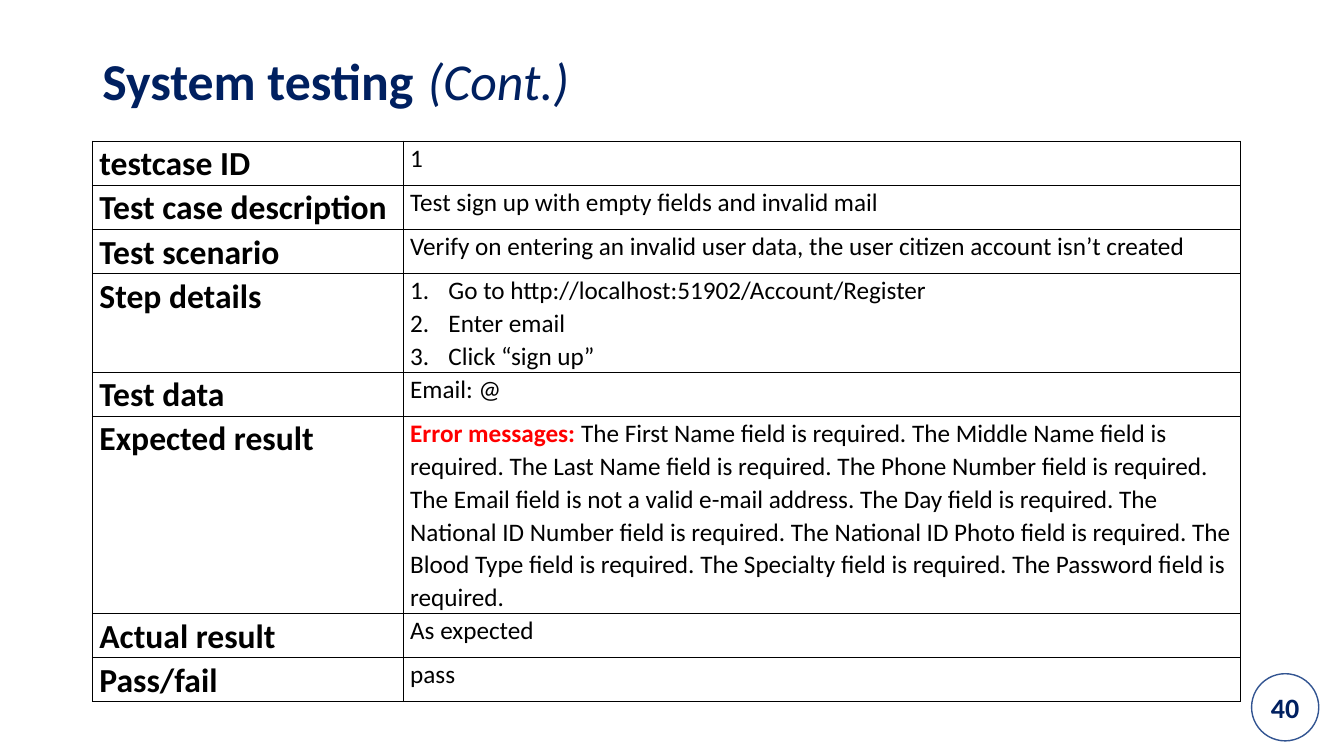
from dataclasses import dataclass

from lxml import etree
from pptx import Presentation, util as u
from pptx.dml.color import RGBColor as Rgb
from pptx.enum import shapes, text
from pptx.oxml import ns

GRID = u.Inches(1) / 12  # the slide is 160 columns by 90 rows


@dataclass(frozen=True)
class Theme:
    font: str = "Calibri"
    navy: str = "002060"
    ring: str = "325491"
    ink: str = "000000"
    alert: str = "FF0000"
    paper: str = "FFFFFF"
    title: float = 37
    gap: float = 44.4
    label: float = 24
    body: float = 18
    page: float = 20


LOOK = Theme()

STEPS = ["Go to http://localhost:51902/Account/Register", "Enter email",
         "Click “sign up”"]
ALERT = "Error messages:"
FIELDS = ["First Name", "Middle Name", "Last Name", "Phone Number", "Email",
          "Day", "National ID Number", "National ID Photo", "Blood Type",
          "Specialty", "Password"]
ERRORS = " ".join(
    f"The {name} field is "
    + ("not a valid e-mail address." if name == "Email" else "required.")
    for name in FIELDS)

# label, paragraphs, lines of text
CASE = [
    ("testcase ID", ["1"], 1),
    ("Test case description",
     ["Test sign up with empty fields and invalid mail"], 1),
    ("Test scenario",
     ["Verify on entering an invalid user data, the user citizen account "
      "isn’t created"], 1),
    ("Step details", STEPS, 3),
    ("Test data", ["Email: @"], 1),
    ("Expected result", [f"{ALERT} {ERRORS}"], 6),
    ("Actual result", ["As expected"], 1),
    ("Pass/fail", ["pass"], 1),
]


def span(*cells):
    """Turn grid counts into lengths."""
    return [u.Emu(round(n * GRID)) for n in cells]


def style(run, size, color, bold=False, italic=False):
    font = run.font
    font.name, font.size = LOOK.font, u.Pt(size)
    font.bold, font.italic = bold, italic
    font.color.rgb = Rgb.from_string(color)


def add_title(slide, box):
    head = slide.shapes.title
    head.left, head.top, head.width, head.height = span(*box)
    frame = head.text_frame
    frame.auto_size = text.MSO_AUTO_SIZE.NONE
    frame.vertical_anchor = text.MSO_ANCHOR.BOTTOM
    para = frame.paragraphs[0]
    para.alignment, para.line_spacing = text.PP_ALIGN.LEFT, 0.8
    for words, size, bold in [("System testing", LOOK.title, True),
                              (" ", LOOK.gap, True),
                              ("(Cont.)", LOOK.title, False)]:
        run = para.add_run()
        run.text = words
        style(run, size, LOOK.navy, bold, not bold)


def add_rules(cell):
    """Draw a thin line on all four sides of the cell."""
    props = cell._tc.get_or_add_tcPr()
    for side in "LRTB":
        line = etree.SubElement(props, ns.qn(f"a:ln{side}"), w=str(u.Pt(1)))
        fill = etree.SubElement(line, ns.qn("a:solidFill"))
        etree.SubElement(fill, ns.qn("a:srgbClr"), val=LOOK.ink)


def add_number(para):
    props = para._p.get_or_add_pPr()
    hang = u.Inches(0.38)
    props.set("marL", str(hang))
    props.set("indent", str(-hang))
    etree.SubElement(props, ns.qn("a:buFont"), typeface="+mj-lt")
    etree.SubElement(props, ns.qn("a:buAutoNum"), type="arabicPeriod")


def fill_cell(cell, lines, size, bold):
    cell.margin_left = cell.margin_right = u.Inches(0.07)
    cell.margin_top = cell.margin_bottom = 0
    add_rules(cell)
    cell.fill.background()
    cell.text_frame.text = "\n".join(lines)
    for para in cell.text_frame.paragraphs:
        para.line_spacing = 1.07
        if len(lines) > 1:
            add_number(para)
        first = para.runs[0]
        if first.text.startswith(ALERT):
            rest = para.add_run()
            rest.text = first.text[len(ALERT):]
            first.text = ALERT
            style(first, size, LOOK.alert, True)
            style(rest, size, LOOK.ink)
        else:
            style(first, size, LOOK.ink, bold)


def add_case(slide, box, side):
    """Place the test case table; side is the width of its label column."""
    grid = slide.shapes.add_table(len(CASE), 2, *span(*box)).table
    grid.first_row = grid.horz_banding = False
    grid.columns[0].width, grid.columns[1].width = span(side, box[2] - side)
    for row, (label, lines, count) in zip(grid.rows, CASE):
        row.height, = span(max(5.25, 3.9 * count))
        fill_cell(row.cells[0], [label], LOOK.label, True)
        fill_cell(row.cells[1], lines, LOOK.body, False)


def add_page(slide, box):
    disc = slide.shapes.add_shape(shapes.MSO_SHAPE.OVAL, *span(*box))
    disc.shadow.inherit = False
    disc.fill.solid()
    disc.fill.fore_color.rgb = Rgb.from_string(LOOK.paper)
    disc.line.color.rgb = Rgb.from_string(LOOK.ring)
    disc.line.width = u.Pt(1)
    frame = disc.text_frame
    frame.margin_left = frame.margin_right = 0
    frame.margin_top = frame.margin_bottom = 0
    frame.vertical_anchor = text.MSO_ANCHOR.MIDDLE
    frame.text = "40"
    para = frame.paragraphs[0]
    para.alignment = text.PP_ALIGN.CENTER
    style(para.runs[0], LOOK.page, LOOK.navy, True)


def main():
    deck = Presentation()
    deck.slide_width, deck.slide_height = span(160, 90)
    slide = deck.slides.add_slide(deck.slide_layouts.get_by_name("Title Only"))
    add_page(slide, (149, 80.2, 8, 8))
    add_title(slide, (11, 5.2, 129, 8.75))
    add_case(slide, (11, 16.8, 136.7, 65), 37)
    deck.save("out.pptx")


if __name__ == "__main__":
    main()
